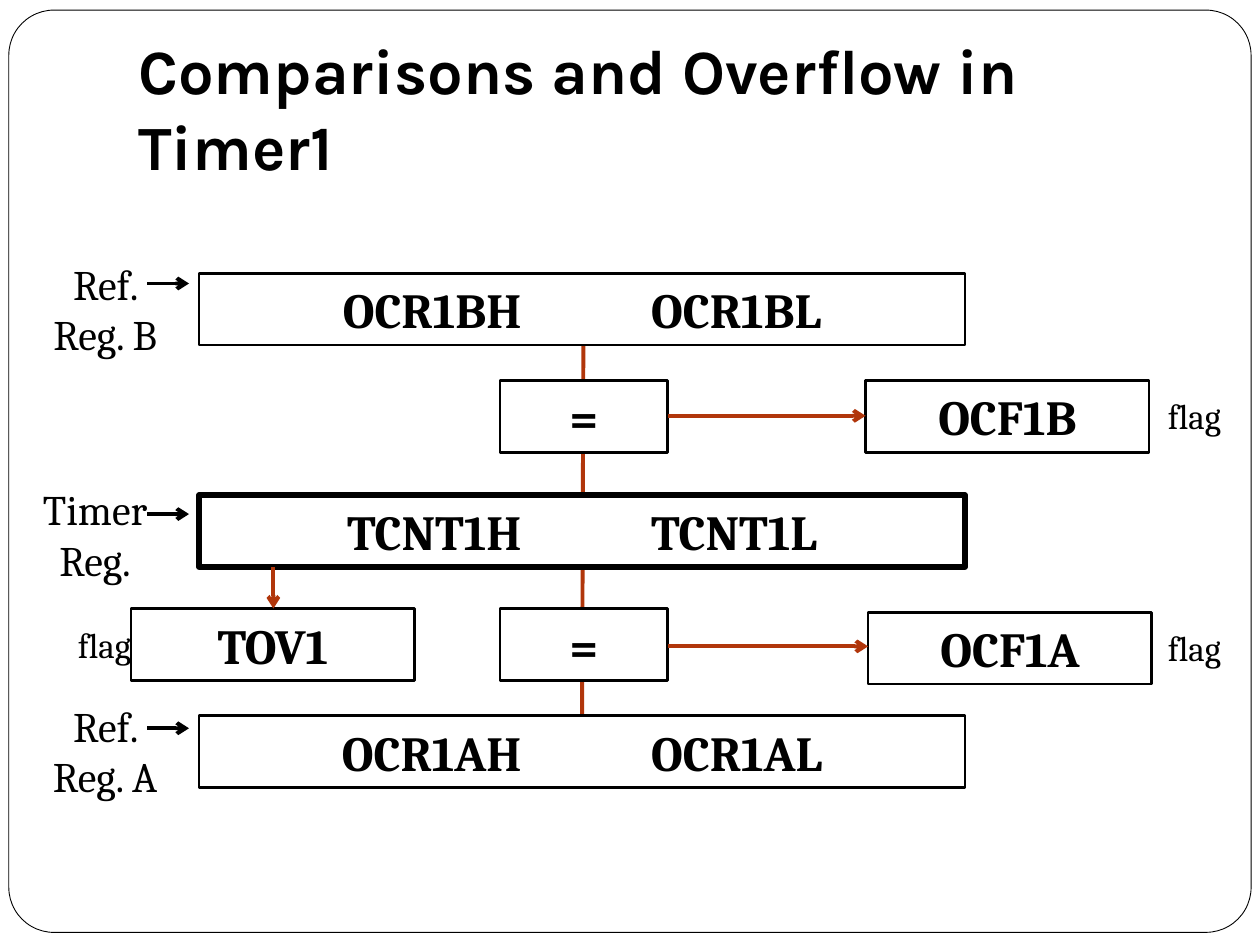
from pptx import Presentation
from pptx.util import Inches, Pt
from pptx.dml.color import RGBColor
from pptx.enum.shapes import MSO_SHAPE as SHAPE, MSO_CONNECTOR as CONN
from pptx.enum.text import PP_ALIGN as ALIGN, MSO_ANCHOR as ANCHOR
from pptx.oxml.ns import qn
from lxml.etree import SubElement

BLACK, WHITE, RUST = "000000", "FFFFFF", "B1360B"
TITLE = "Comparisons and Overflow in Timer1"
BOX_H = 0.57
REGISTERS = [
    ("OCR1BH", "OCR1BL", 2.17, 1.5),
    ("TCNT1H", "TCNT1L", 3.93, 3),
    ("OCR1AH", "OCR1AL", 5.68, 1.5),
]
REGISTER_TABS = [(2.46, "r"), (3.49, "l")]
COMPARATORS = [3.02, 4.83]
FLAG_BOXES = [("OCF1B", 6.87, 3.02), ("OCF1A", 6.89, 4.86), ("TOV1", 1.04, 4.83)]
REGISTER_LABELS = [
    ("Ref. Reg. B", 0.25, 2, 2.25),
    ("Timer Reg.", 0.17, 3.79, 4.08),
    ("Ref. Reg. A", 0.25, 5.51, 5.78),
]
FLAG_LABELS = [(9.17, 3.08), (9.17, 4.92), (0.52, 4.9)]
FLAG_ARROWS = [
    (5.3, 3.3, 6.87, 3.3),
    (5.3, 5.13, 6.89, 5.13),
    (2.17, 4.5, 2.17, 4.83),
]

prs = Presentation()
prs.slide_width, prs.slide_height = Inches(10), Inches(7.5)
s = prs.slides.add_slide(prs.slide_layouts[6])


def color(value):
    return RGBColor.from_string(value)


def write(sp, text, size, align, font="Cambria", bold=False):
    tf = sp.text_frame
    tf.word_wrap = True
    tf.text = text
    p = tf.paragraphs[0]
    p.alignment = align
    for r in p.runs:
        r.font.name, r.font.size, r.font.bold = font, Pt(size), bold
        r.font.color.rgb = color(BLACK)
    return p


def add_label(text, x, y, w, h, size, align=ALIGN.LEFT, **style):
    sp = s.shapes.add_textbox(Inches(x), Inches(y), Inches(w), Inches(h))
    write(sp, text, size, align, **style)
    return sp


def add_outline(x, y, w, h, width, kind=SHAPE.RECTANGLE):
    sp = s.shapes.add_shape(kind, Inches(x), Inches(y), Inches(w), Inches(h))
    sp.shadow.inherit = False
    sp.fill.solid()
    sp.fill.fore_color.rgb = color(WHITE)
    sp.line.color.rgb = color(BLACK)
    sp.line.width = Pt(width)
    return sp


def add_box(text, x, y, w, width=1.5, align=ALIGN.CENTER):
    sp = add_outline(x, y, w, BOX_H, width)
    return write(sp, text, 28, align, bold=True)


def add_line(x1, y1, x2, y2, value, arrow=True):
    c = s.shapes.add_connector(CONN.STRAIGHT, Inches(x1), Inches(y1), Inches(x2), Inches(y2))
    c.line.color.rgb = color(value)
    c.line.width = Pt(2.25)
    if arrow:
        SubElement(c.line._get_or_add_ln(), qn("a:tailEnd"), type="arrow")
    SubElement(c._element.spPr, qn("a:effectLst"))


frame = add_outline(0.07, 0.08, 9.86, 7.32, 0.5, SHAPE.ROUNDED_RECTANGLE)
frame.adjustments[0] = 0.049

add_line(4.63, 2.74, 4.62, 5.68, RUST, arrow=False)

title = add_label(TITLE, 1, 0.3, 8.5, 1.25, 36, font="Karla", bold=True)
title.text_frame.vertical_anchor = ANCHOR.BOTTOM
title.text_frame.margin_bottom = Inches(0.1)

for high, low, y, width in REGISTERS:
    p = add_box(f"\t{high}\t{low}", 1.58, y, 6.08, width, ALIGN.LEFT)
    tabs = SubElement(p._p.get_or_add_pPr(), qn("a:tabLst"))
    for pos, side in REGISTER_TABS:
        SubElement(tabs, qn("a:tab"), pos=str(Inches(pos)), algn=side)

for y in COMPARATORS:
    add_box("=", 3.97, y, 1.33)

for name, x, y in FLAG_BOXES:
    add_box(name, x, y, 2.25)

for ends in FLAG_ARROWS:
    add_line(*ends, RUST)

for text, x, y, arrow_y in REGISTER_LABELS:
    add_label(text, x, y, 1.17, 0.91, 24, ALIGN.CENTER)
    add_line(1.17, arrow_y, 1.5, arrow_y, BLACK)

for x, y in FLAG_LABELS:
    add_label("flag", x, y, 0.75, 0.44, 20)

prs.save("out.pptx")
